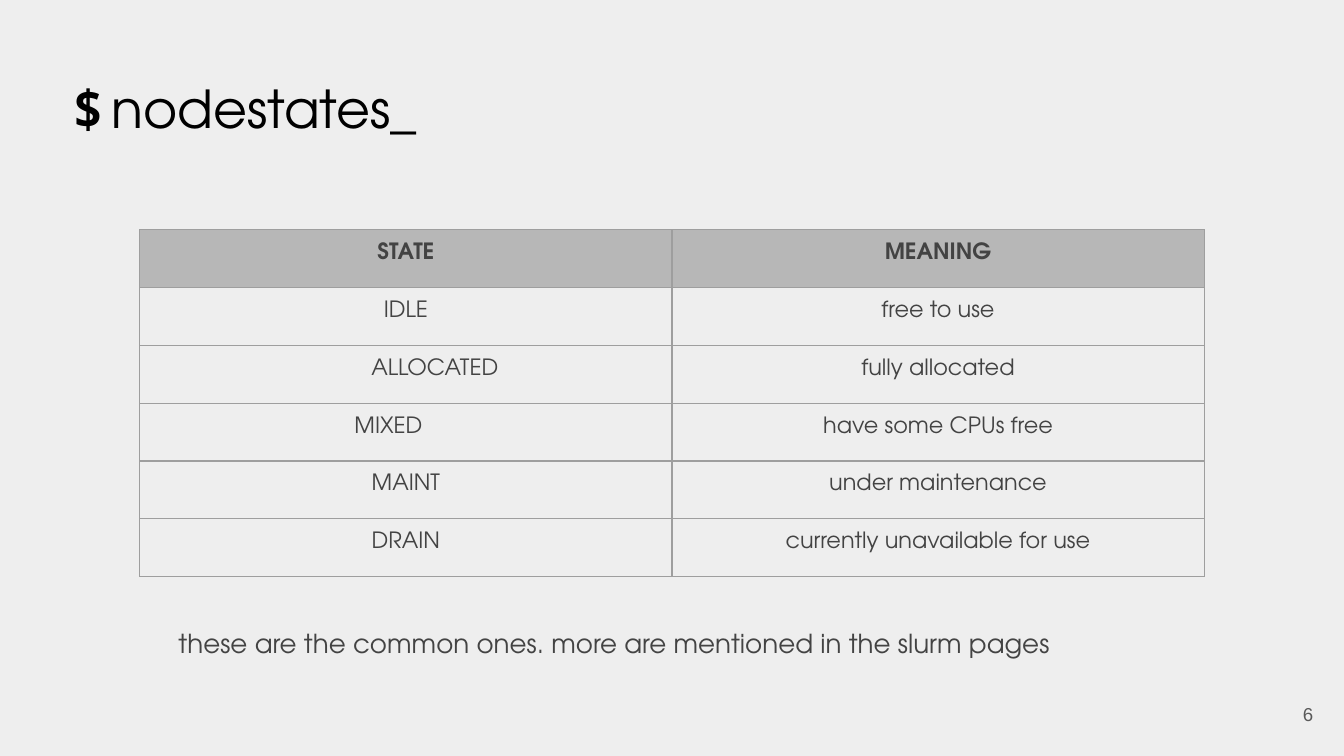
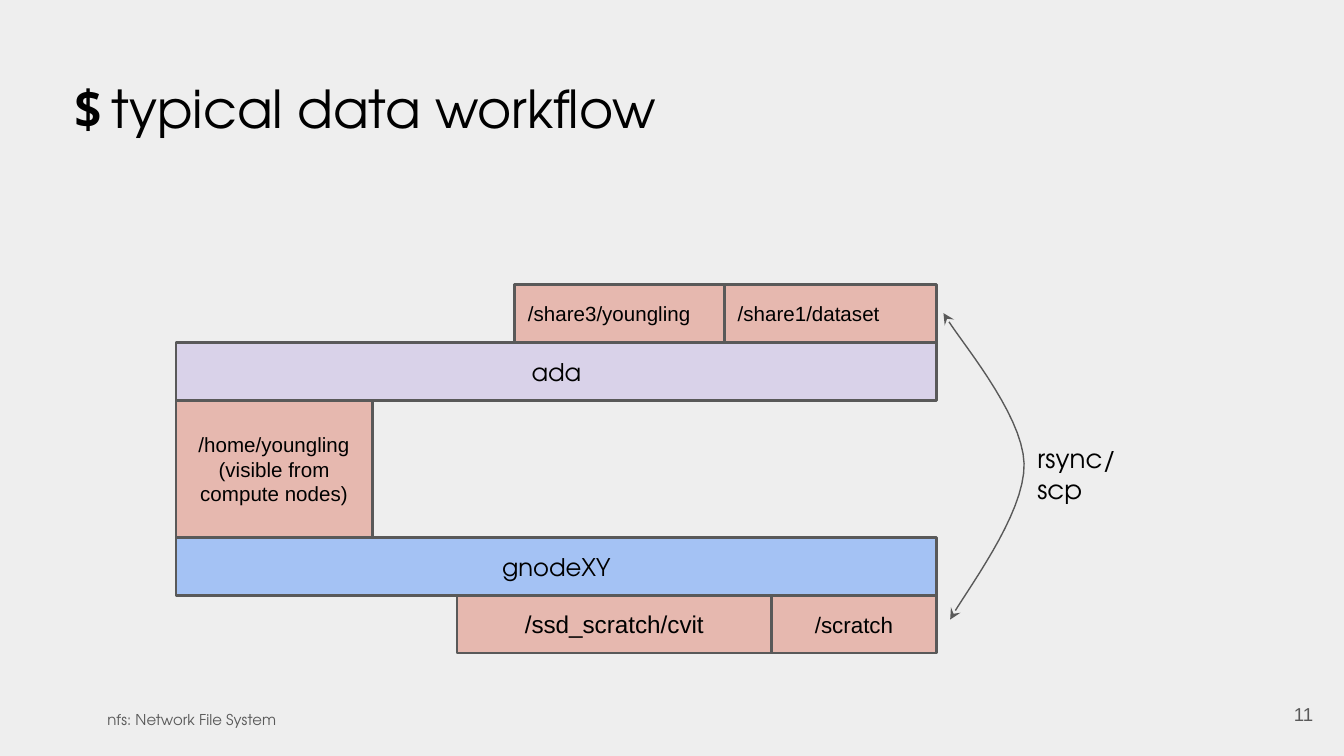
import lxml.etree
import pptx
import pptx.dml.color
import pptx.enum.shapes
import pptx.enum.text
import pptx.oxml.ns
import pptx.util

Inches = pptx.util.Inches
Pt = pptx.util.Pt
qn = pptx.oxml.ns.qn
ALIGN = pptx.enum.text.PP_ALIGN
ANCHOR = pptx.enum.text.MSO_ANCHOR

COLORS = {
    "background": "EEEEEE", "black": "000000", "text": "434343", "muted": "595959",
    "header": "B7B7B7", "border": "9E9E9E",
    "storage": "E6B8AF", "login": "D9D2E9", "compute": "A4C2F4",
}
DISPLAY, SANS, MONO = "TeX Gyre Adventor", "Arial", "Noto Sans Mono"

STATES = [
    ("STATE", "MEANING"),
    ("IDLE", "free to use"),
    ("ALLOCATED", "fully allocated"),
    ("MIXED", "have some CPUs free"),
    ("MAINT", "under maintenance"),
    ("DRAIN", "currently unavailable for use"),
]
STATE_MARGINS = {"ALLOCATED": ("marL", 0.43), "MIXED": ("marR", 0.26)}
STATES_NOTE = "these are the common ones. more are mentioned in the slurm pages"
TABLE_LEFT, TABLE_TOP, COLUMN_WIDTH, ROW_HEIGHT = 1.04, 1.71, 3.96, 0.43

LEFT, RIGHT, BAR_HEIGHT = 1.31, 6.97, 0.43
ADA_TOP, GNODE_TOP = 2.55, 4.0
HOME_TOP = ADA_TOP + BAR_HEIGHT
SHARE_TOP, SCRATCH_TOP = ADA_TOP - BAR_HEIGHT, GNODE_TOP + BAR_HEIGHT
BLOCKS = [
    ("gnodeXY", LEFT, RIGHT, GNODE_TOP, BAR_HEIGHT, "compute", DISPLAY, 13, ALIGN.CENTER),
    ("/home/youngling\n(visible from compute nodes)", LEFT, 2.77, HOME_TOP,
     GNODE_TOP - HOME_TOP, "storage", SANS, 11, ALIGN.CENTER),
    ("ada", LEFT, RIGHT, ADA_TOP, BAR_HEIGHT, "login", DISPLAY, 13, ALIGN.CENTER),
    ("/ssd_scratch/cvit", 3.4, 5.74, SCRATCH_TOP, BAR_HEIGHT, "storage", SANS, 13, ALIGN.CENTER),
    ("/scratch", 5.74, RIGHT, SCRATCH_TOP, BAR_HEIGHT, "storage", SANS, 12, ALIGN.CENTER),
    ("/share3/youngling", 3.83, 5.39, SHARE_TOP, BAR_HEIGHT, "storage", SANS, 11, ALIGN.LEFT),
    ("/share1/dataset", 5.39, RIGHT, SHARE_TOP, BAR_HEIGHT, "storage", SANS, 11, ALIGN.LEFT),
]
SYNC_CURVES = [
    [(7.02, 2.33), (7.12, 2.51), (7.61, 3.07), (7.62, 3.45)],
    [(7.62, 3.45), (7.63, 3.83), (7.17, 4.42), (7.07, 4.61)],
]
CURVE_STEPS = 16


def rgb(name):
    return pptx.dml.color.RGBColor.from_string(COLORS[name])


def set_text(frame, text, font, size, color="black", bold=False, align=ALIGN.LEFT, anchor=ANCHOR.TOP):
    frame.word_wrap = True
    frame.auto_size = pptx.enum.text.MSO_AUTO_SIZE.NONE
    frame.vertical_anchor = anchor
    frame.margin_left = frame.margin_right = Inches(0.1)
    frame.margin_top = frame.margin_bottom = Inches(0.1)
    return style_paragraph(frame.paragraphs[0], text, font, size, color, bold, align)


def style_paragraph(paragraph, text, font, size, color, bold, align):
    paragraph.text = text
    paragraph.alignment = align
    paragraph.font.name = font
    paragraph.font.size = Pt(size)
    paragraph.font.bold = bold
    paragraph.font.color.rgb = rgb(color)
    return paragraph


def add_text(slide, box, *text, **style):
    shape = slide.shapes.add_textbox(*map(Inches, box))
    return set_text(shape.text_frame, *text, **style)


def add_slide(presentation, title, number):
    slide = presentation.slides.add_slide(presentation.slide_layouts[5])
    add_text(slide, (0.44, 0.47, 0.38, 0.64), "$", MONO, 28, bold=True)
    shape = slide.shapes.title
    shape.left, shape.top, shape.width, shape.height = map(Inches, (0.73, 0.47, 8.93, 0.64))
    set_text(shape.text_frame, title, DISPLAY, 28)
    add_text(slide, (9.27, 5.1, 0.6, 0.43), str(number), SANS, 10, "muted",
             align=ALIGN.RIGHT, anchor=ANCHOR.MIDDLE)
    return slide


def add_borders(cell):
    properties = cell._tc.get_or_add_tcPr()
    for side in ("lnL", "lnR", "lnT", "lnB"):
        line = lxml.etree.SubElement(properties, qn("a:" + side), w=str(Pt(0.75)))
        fill = lxml.etree.SubElement(line, qn("a:solidFill"))
        lxml.etree.SubElement(fill, qn("a:srgbClr"), val=COLORS["border"])


def add_states_table(slide):
    rows, columns = len(STATES), len(STATES[0])
    table = slide.shapes.add_table(
        rows, columns, Inches(TABLE_LEFT), Inches(TABLE_TOP),
        Inches(COLUMN_WIDTH * columns), Inches(ROW_HEIGHT * rows)).table
    table.first_row = table.horz_banding = False
    for row_index, row in enumerate(STATES):
        table.rows[row_index].height = Inches(ROW_HEIGHT)
        for column_index, text in enumerate(row):
            cell = table.cell(row_index, column_index)
            cell.margin_left = cell.margin_right = Inches(0.1)
            cell.margin_top = cell.margin_bottom = Inches(0.1)
            header = row_index == 0
            paragraph = style_paragraph(cell.text_frame.paragraphs[0], text, DISPLAY, 12,
                                        "text", header, ALIGN.CENTER)
            if text in STATE_MARGINS:
                side, margin = STATE_MARGINS[text]
                paragraph._p.get_or_add_pPr().set(side, str(Inches(margin)))
            add_borders(cell)
            if header:
                cell.fill.solid()
                cell.fill.fore_color.rgb = rgb("header")
            else:
                cell.fill.background()


def add_block(slide, text, left, right, top, height, color, font, size, align):
    shape = slide.shapes.add_shape(
        pptx.enum.shapes.MSO_SHAPE.RECTANGLE,
        *map(Inches, (left, top, right - left, height)))
    shape.shadow.inherit = False
    shape.fill.solid()
    shape.fill.fore_color.rgb = rgb(color)
    shape.line.color.rgb = rgb("muted")
    shape.line.width = Pt(1.5)
    set_text(shape.text_frame, text, font, size, align=align, anchor=ANCHOR.MIDDLE)


def curve_point(controls, t):
    weights = ((1 - t) ** 3, 3 * t * (1 - t) ** 2, 3 * t ** 2 * (1 - t), t ** 3)
    return tuple(Inches(sum(w * value for w, value in zip(weights, axis)))
                 for axis in zip(*controls))


def add_sync_arrow(slide):
    points = [curve_point(controls, step / CURVE_STEPS)
              for controls in SYNC_CURVES for step in range(1, CURVE_STEPS + 1)]
    builder = slide.shapes.build_freeform(*curve_point(SYNC_CURVES[0], 0))
    builder.add_line_segments(points, close=False)
    shape = builder.convert_to_shape()
    shape.shadow.inherit = False
    shape.fill.background()
    shape.line.color.rgb = rgb("muted")
    shape.line.width = Pt(0.75)
    line = shape.line._get_or_add_ln()
    for end in ("headEnd", "tailEnd"):
        lxml.etree.SubElement(line, qn("a:" + end), type="stealth")


def add_node_states(presentation):
    slide = add_slide(presentation, "nodestates_", 6)
    note = add_text(slide, (0.73, 4.57, 8.93, 0.43), STATES_NOTE, DISPLAY, 14, "text")
    note._p.get_or_add_pPr().set("marL", str(Inches(0.5)))
    add_states_table(slide)


def add_data_workflow(presentation):
    slide = add_slide(presentation, "typical data workflow", 11)
    footnote = add_text(slide, (0.7, 5.17, 1.58, 0.36), "nfs: Network File System",
                        DISPLAY, 8, "muted")
    footnote.line_spacing = 1.15
    footnote.space_after = Pt(16)
    for block in BLOCKS:
        add_block(slide, *block)
    add_sync_arrow(slide)
    add_text(slide, (7.62, 3.19, 1.1, 0.47), "rsync/scp", DISPLAY, 14)


def main():
    presentation = pptx.Presentation()
    presentation.slide_width = Inches(10)
    presentation.slide_height = presentation.slide_width * 9 // 16
    background = presentation.slide_master.background.fill
    background.solid()
    background.fore_color.rgb = rgb("background")
    add_node_states(presentation)
    add_data_workflow(presentation)
    presentation.save("out.pptx")


if __name__ == "__main__":
    main()
